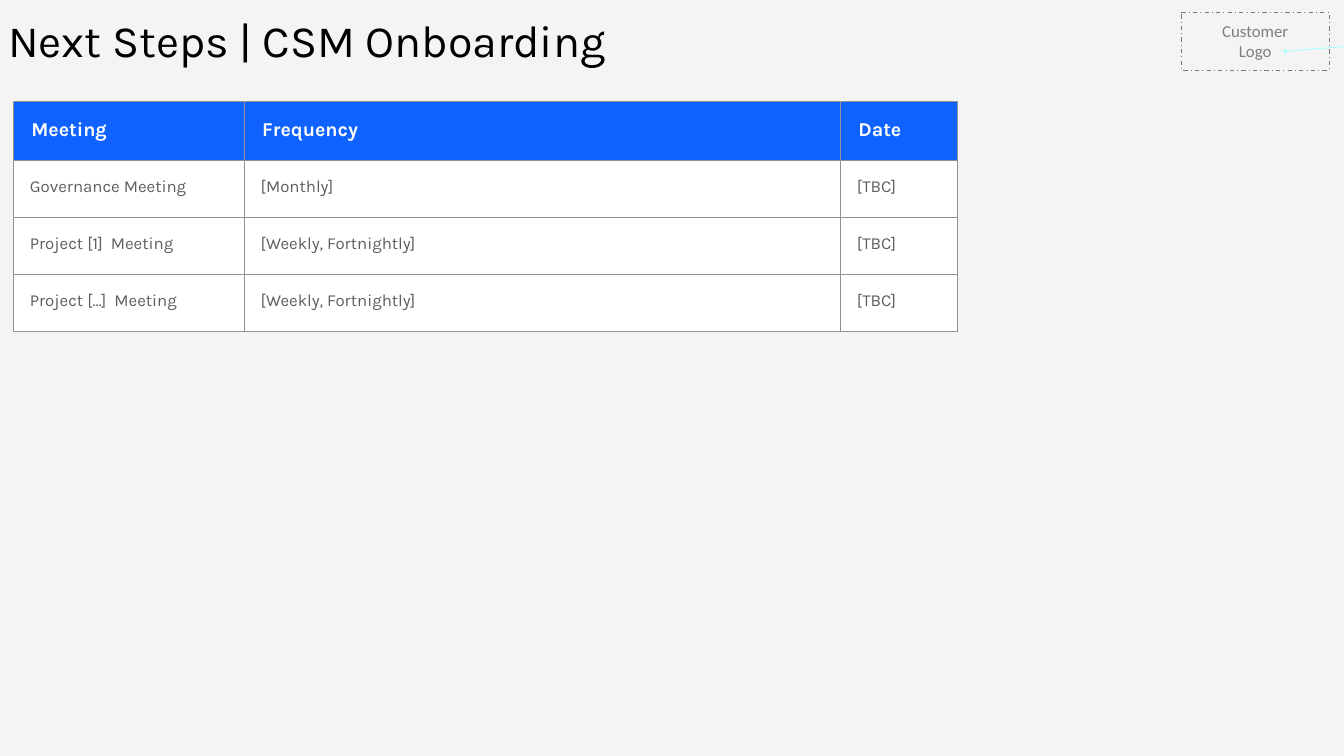
from lxml import etree
from pptx import Presentation
from pptx.dml.color import RGBColor
from pptx.enum import dml, shapes, text
from pptx.oxml import ns
from pptx.util import Pt

BODY_FONT = "Karla"
COLUMN_WIDTHS = (329.8, 851.8, 167.8)
HEADER_HEIGHT, ROW_HEIGHT = 85.7, 81.4
MEETINGS = (
    ("Meeting", "Frequency", "Date"),
    ("Governance Meeting", "[Monthly]", "[TBC]"),
    ("Project [1]  Meeting", "[Weekly, Fortnightly]", "[TBC]"),
    ("Project […]  Meeting", "[Weekly, Fortnightly]", "[TBC]"),
)


def rgb(value):
    return RGBColor.from_string(value)


def sub(parent, tag, **attrs):
    return etree.SubElement(parent, ns.qn(tag), attrs)


def add_run(p, content, size, color, font=BODY_FONT, bold=False):
    r = p.add_run()
    r.text = content
    r.font.name = font
    r.font.size = Pt(size)
    r.font.bold = bold
    r.font.color.rgb = rgb(color)


def set_insets(box, inset):
    """Give a text frame or a table cell the same margin on all sides."""
    box.margin_left = box.margin_right = Pt(inset)
    box.margin_top = box.margin_bottom = Pt(inset)


def add_title(s, content):
    tf = s.shapes.add_textbox(Pt(12), Pt(26.6), Pt(1711), Pt(86.4)).text_frame
    tf.word_wrap = True
    set_insets(tf, 0)
    p = tf.paragraphs[0]
    p.line_spacing = 0.9
    add_run(p, content, 64, "000000")


def add_pointer(s):
    """Draw the line with round ends that points at the logo box."""
    line = s.shapes.add_connector(
        shapes.MSO_CONNECTOR.STRAIGHT, Pt(1967), Pt(62.6), Pt(1836), Pt(73.4))
    line.line.color.rgb = rgb("B2FFFD")
    line.line.width = Pt(1.5)
    ln = line.line._get_or_add_ln()
    for end in ("a:headEnd", "a:tailEnd"):
        sub(ln, end, type="oval")
    sub(line._element.spPr, "a:effectLst")


def add_borders(cell, color):
    tc_pr = cell._tc.get_or_add_tcPr()
    for side in ("a:lnL", "a:lnR", "a:lnT", "a:lnB"):
        ln = sub(tc_pr, side, w=str(Pt(1)))
        sub(sub(ln, "a:solidFill"), "a:srgbClr", val=color)


def fill_cell(cell, content, header):
    add_borders(cell, "929292")
    cell.fill.solid()
    cell.fill.fore_color.rgb = rgb("0F62FE" if header else "FFFFFF")
    set_insets(cell, 26 if header else 24)
    size, color = (28, "FFFFFF") if header else (24, "5E5E5E")
    add_run(cell.text_frame.paragraphs[0], content, size, color, bold=header)


def add_meeting_table(s):
    heights = [HEADER_HEIGHT] + [ROW_HEIGHT] * (len(MEETINGS) - 1)
    table = s.shapes.add_table(
        len(MEETINGS), len(COLUMN_WIDTHS), Pt(18.7), Pt(144),
        Pt(sum(COLUMN_WIDTHS)), Pt(sum(heights))).table
    table.horz_banding = False
    for column, width in zip(table.columns, COLUMN_WIDTHS):
        column.width = Pt(width)
    for i, (row, height) in enumerate(zip(table.rows, heights)):
        row.height = Pt(height)
        for cell, content in zip(row.cells, MEETINGS[i]):
            fill_cell(cell, content, header=i == 0)


def add_logo_box(s, lines):
    sp = s.shapes.add_shape(shapes.MSO_SHAPE.FLOWCHART_PROCESS,
                            Pt(1687.7), Pt(17.3), Pt(211), Pt(82.8))
    sp.shadow.inherit = False
    sp.fill.background()
    sp.line.color.rgb = rgb("7A7A7A")
    sp.line.width = Pt(1.5)
    sp.line.dash_style = dml.MSO_LINE.DASH_DOT
    tf = sp.text_frame
    tf.word_wrap = True
    tf.vertical_anchor = text.MSO_ANCHOR.MIDDLE
    for i, content in enumerate(lines):
        p = tf.add_paragraph() if i else tf.paragraphs[0]
        p.alignment = text.PP_ALIGN.CENTER
        add_run(p, content, 24, "7F7F7F", font="Calibri")


def main():
    prs = Presentation()
    prs.slide_width, prs.slide_height = Pt(1920), Pt(1080)
    s = prs.slides.add_slide(prs.slide_layouts[6])
    s.background.fill.solid()
    s.background.fill.fore_color.rgb = rgb("F4F4F4")
    add_title(s, "Next Steps | CSM Onboarding")
    add_pointer(s)
    add_meeting_table(s)
    add_logo_box(s, ("Customer", "Logo"))
    prs.save("out.pptx")


if __name__ == "__main__":
    main()
